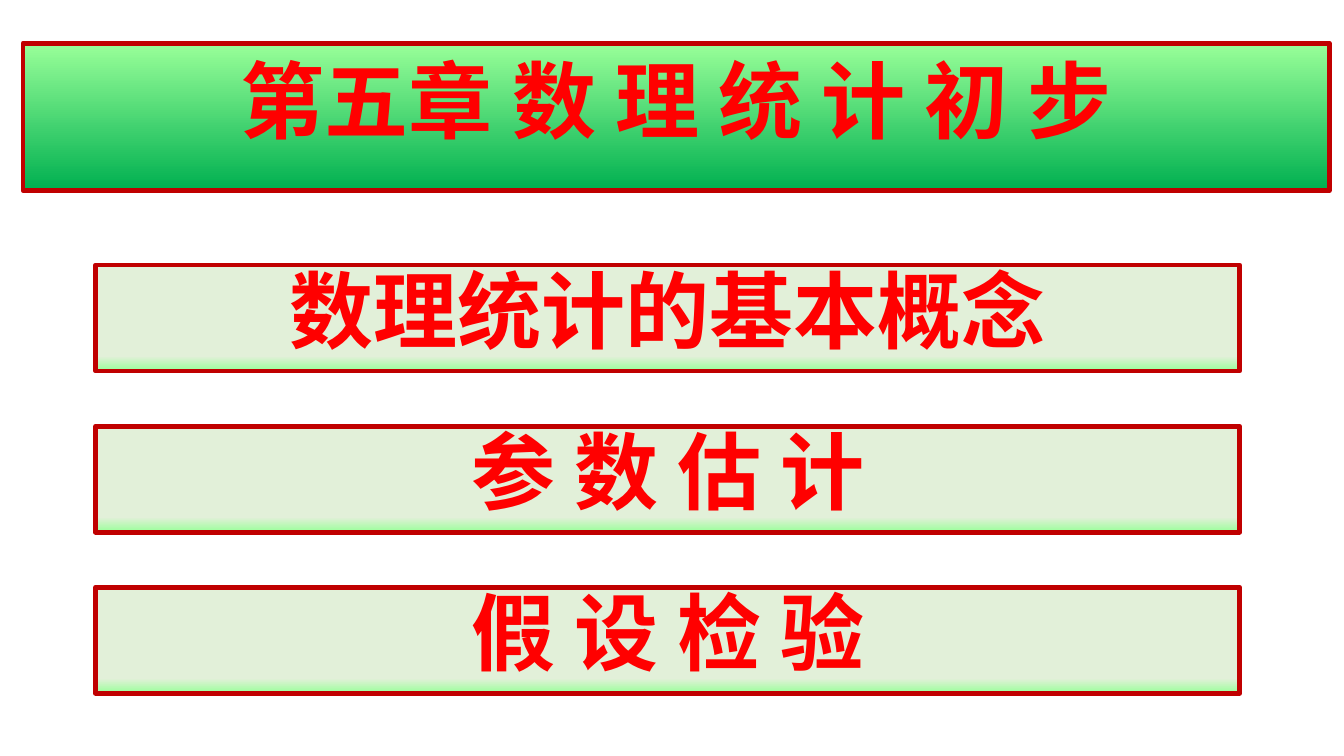
"""Build the chapter opening slide on mathematical statistics."""
from dataclasses import dataclass

import pptx
import pptx.dml.color
import pptx.enum.shapes
import pptx.enum.text
import pptx.oxml.ns
import pptx.slide
import pptx.util
from lxml import etree
from pptx.util import Cm

RED = pptx.dml.color.RGBColor(0xFF, 0x00, 0x00)
DARK_RED = pptx.dml.color.RGBColor(0xC0, 0x00, 0x00)
LIME = pptx.dml.color.RGBColor(0x99, 0xFF, 0x99)
GREEN = pptx.dml.color.RGBColor(0x00, 0xB0, 0x50)
PALE = pptx.dml.color.RGBColor(0xE2, 0xF0, 0xD9)
FONT = "Noto Sans CJK JP"
TOPICS = ("数理统计的基本概念", "参 数 估 计", "假 设 检 验")
TOPIC_TOP, TOPIC_STEP = 6.68, 4.06


@dataclass(frozen=True)
class Banner:
    """Text box with a vertical gradient; lengths in centimetres."""

    text: str
    left: float
    top: float
    width: float
    height: float
    stops: tuple[tuple[float, pptx.dml.color.RGBColor], ...]
    line_spacing: float


def draw_banner(s: pptx.slide.Slide, b: Banner) -> None:
    """Draw one framed banner with its centred text."""
    sp = s.shapes.add_shape(
        pptx.enum.shapes.MSO_SHAPE.RECTANGLE,
        Cm(b.left), Cm(b.top), Cm(b.width), Cm(b.height),
    )
    sp.shadow.inherit = False
    sp.fill.gradient()
    sp.fill.gradient_angle = 270
    for stop, (position, color) in zip(sp.fill.gradient_stops, b.stops):
        stop.position = position
        stop.color.rgb = color
    sp.line.color.rgb = DARK_RED
    sp.line.width = pptx.util.Pt(3.5)

    tf = sp.text_frame
    tf.word_wrap = True
    tf.vertical_anchor = pptx.enum.text.MSO_ANCHOR.TOP
    tf.text = b.text
    p = tf.paragraphs[0]
    p.alignment = pptx.enum.text.PP_ALIGN.CENTER
    p.line_spacing = b.line_spacing
    r = p.runs[0]
    r.font.name = FONT
    r.font.size = pptx.util.Pt(60)
    r.font.bold = True
    r.font.color.rgb = RED
    ea = etree.SubElement(r.font._element, pptx.oxml.ns.qn("a:ea"))
    ea.set("typeface", FONT)


def main() -> None:
    """Build and save the slide."""
    prs = pptx.Presentation()
    prs.slide_width, prs.slide_height = Cm(33.87), Cm(19.05)
    s = prs.slides.add_slide(prs.slide_layouts[6])
    title_stops = ((0, LIME), (1, GREEN))
    topic_stops = ((0.86, PALE), (1, LIME))
    draw_banner(s, Banner("第五章 数 理 统 计 初 步", 0.58, 1.09, 32.92, 3.71, title_stops, 1.0))
    for i, topic in enumerate(TOPICS):
        top = TOPIC_TOP + i * TOPIC_STEP
        draw_banner(s, Banner(topic, 2.41, top, 28.83, 2.67, topic_stops, 0.9))
    prs.save("out.pptx")


if __name__ == "__main__":
    main()
